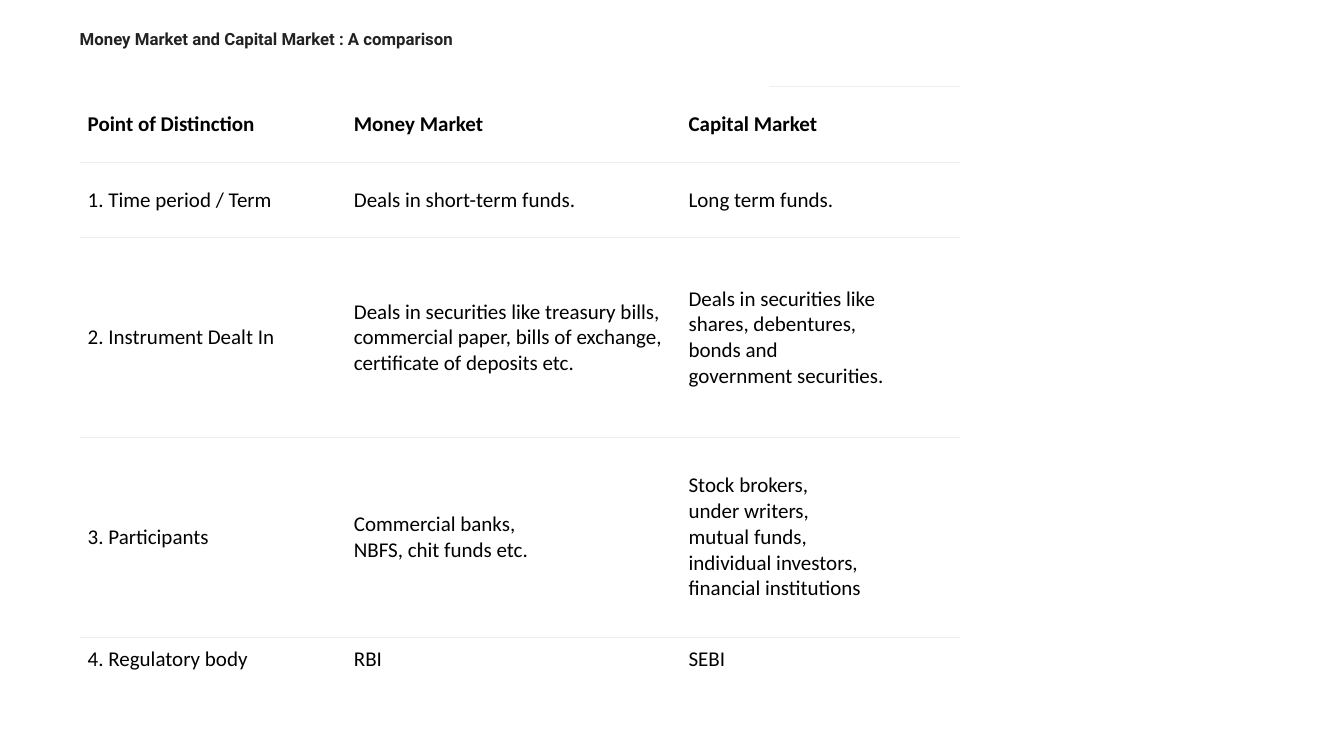
import pptx
import pptx.dml.color
import pptx.enum.text
import pptx.oxml
import pptx.oxml.ns
import pptx.util

WIDTH, HEIGHT = 13.33, 7.5
LEFT = 0.79
COL_WIDTHS = [2.67, 3.32, 2.74]
ROW_HEIGHTS = [0.75, 0.75, 1.98, 1.98, 0.44]
RULE = "EEEEEE"
MIDDLE = pptx.enum.text.MSO_ANCHOR.MIDDLE
TOP = pptx.enum.text.MSO_ANCHOR.TOP

ROWS = [
    ["Point of Distinction", "Money Market", "Capital Market"],
    ["1. Time period / Term", "Deals in short-term funds.", "Long term funds."],
    ["2. Instrument Dealt In",
     "Deals in securities like treasury bills, commercial paper, "
     "bills of exchange, certificate of deposits etc.",
     "Deals in securities like\nshares, debentures,\nbonds and\n"
     "government securities."],
    ["3. Participants", "Commercial banks,\nNBFS, chit funds etc.",
     "Stock brokers,\nunder writers,\nmutual funds,\n"
     "individual investors,\nfinancial institutions"],
    ["4. Regulatory body", "RBI", "SEBI"],
]


def inches(value):
    """Turn inches into slide units."""
    return pptx.util.Inches(value)


def color(hex_value):
    """Turn a hex string into a colour."""
    return pptx.dml.color.RGBColor.from_string(hex_value)


def write(tf, text, size=15, font="Calibri", fill="000000", bold=False):
    """Write left-aligned text, with a line break at each newline."""
    p = tf.paragraphs[0]
    p.alignment = pptx.enum.text.PP_ALIGN.LEFT
    for i, line in enumerate(text.split("\n")):
        if i:
            p.add_line_break()
        r = p.add_run()
        r.text = line
        r.font.size = pptx.util.Pt(size)
        r.font.name = font
        r.font.bold = bold
        r.font.color.rgb = color(fill)


def set_insets(obj, left, top, right, bottom):
    """Set the inner margins of a cell or text frame."""
    obj.margin_left, obj.margin_top = inches(left), inches(top)
    obj.margin_right, obj.margin_bottom = inches(right), inches(bottom)


def set_borders(cell, sides):
    """Draw a thin rule on the named sides and clear the others."""
    tcPr = cell._tc.get_or_add_tcPr()
    for side in "LRTB":
        paint = (f'<a:solidFill><a:srgbClr val="{RULE}"/></a:solidFill>'
                 if side in sides else "<a:noFill/>")
        tcPr.append(pptx.oxml.parse_xml(
            f'<a:ln{side} {pptx.oxml.ns.nsdecls("a")} '
            f'w="{pptx.util.Pt(0.75)}">{paint}</a:ln{side}>'))


def add_title(slide, text):
    """Format the title and bring its white panel in front of the table."""
    s = slide.shapes.title
    s.left, s.top = inches(LEFT), inches(0.08)
    s.width, s.height = inches(6.84), inches(0.79)
    s.fill.solid()
    s.fill.fore_color.rgb = color("FFFFFF")
    tf = s.text_frame
    tf.word_wrap = True
    tf.auto_size = pptx.enum.text.MSO_AUTO_SIZE.NONE
    tf.vertical_anchor = TOP
    set_insets(tf, 0, 0.21, 0, 0.07)
    write(tf, text, size=12, font="Roboto", fill="222222", bold=True)
    slide.shapes._spTree.append(s._element)


def add_comparison(slide):
    """Add the comparison table with rules between its rows."""
    table = slide.shapes.add_table(
        len(ROWS), len(COL_WIDTHS), inches(LEFT), inches(0.86),
        inches(sum(COL_WIDTHS)), inches(sum(ROW_HEIGHTS))).table
    table.first_row = table.horz_banding = False
    for column, width in zip(table.columns, COL_WIDTHS):
        column.width = inches(width)
    for r, texts in enumerate(ROWS):
        table.rows[r].height = inches(ROW_HEIGHTS[r])
        for c, text in enumerate(texts):
            cell = table.cell(r, c)
            set_insets(cell, 0.05 if c else 0.08, 0.05, 0.05, 0.05)
            cell.vertical_anchor = MIDDLE
            set_borders(cell, "T" if r == len(ROWS) - 1 else "TB")
            cell.fill.background()
            write(cell.text_frame, text, bold=r == 0)


def main():
    """Build and save the slide."""
    prs = pptx.Presentation()
    prs.slide_width, prs.slide_height = inches(WIDTH), inches(HEIGHT)
    slide = prs.slides.add_slide(prs.slide_layouts[5])
    add_comparison(slide)
    add_title(slide, "Money Market and Capital Market : A comparison")
    prs.save("out.pptx")


main()
